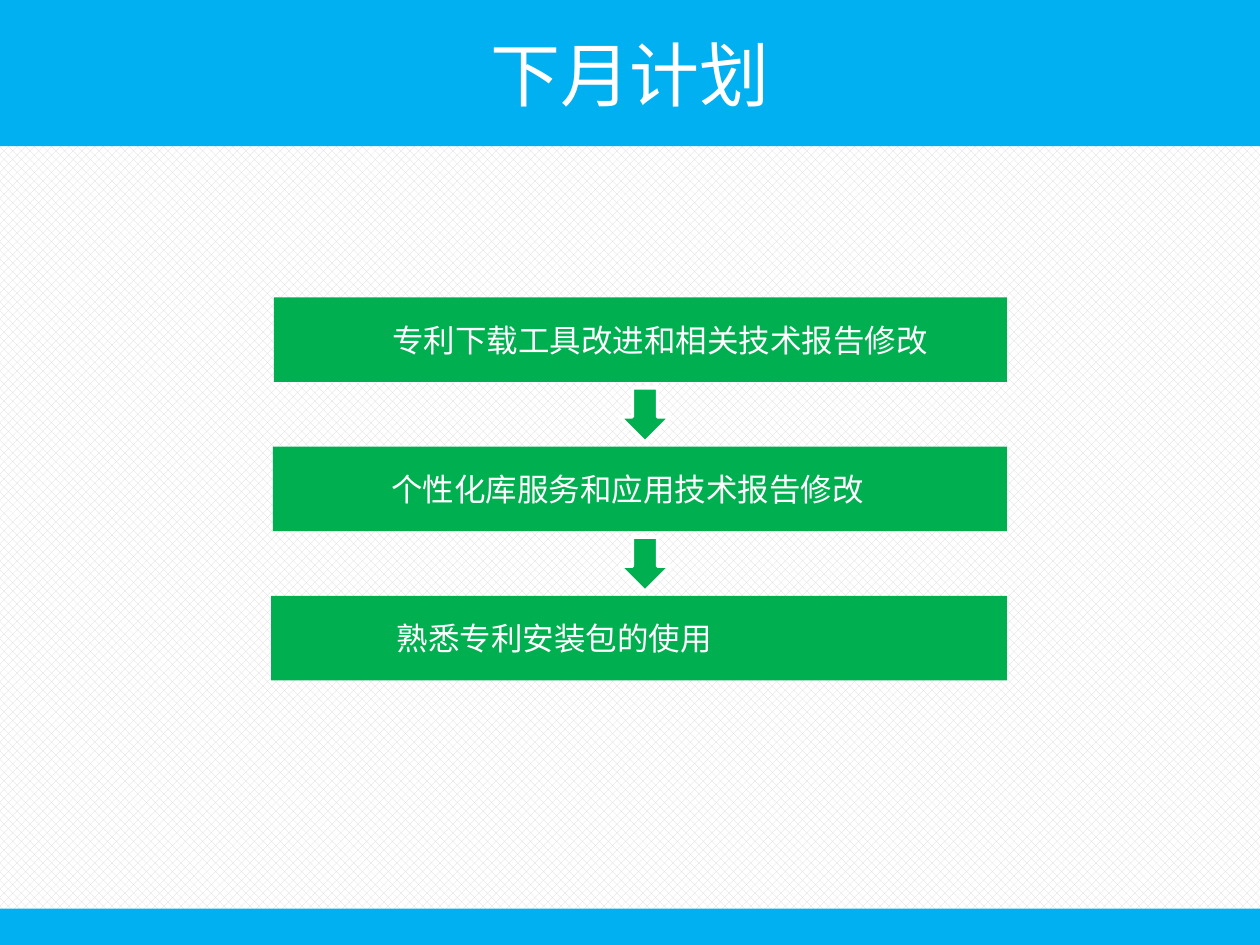
from lxml import etree
from pptx import Presentation
from pptx.dml.color import RGBColor
from pptx.enum.dml import MSO_PATTERN
from pptx.enum.shapes import MSO_SHAPE
from pptx.enum.text import MSO_ANCHOR, PP_ALIGN
from pptx.oxml.ns import qn
from pptx.util import Pt

RECTANGLE = MSO_SHAPE.RECTANGLE
DOWN_ARROW = MSO_SHAPE.DOWN_ARROW
MIDDLE = MSO_ANCHOR.MIDDLE
LEFT, CENTER = PP_ALIGN.LEFT, PP_ALIGN.CENTER
PERCENT_50 = MSO_PATTERN.PERCENT_50

COLORS = {"blue": "00B0F0", "green": "00B050", "white": "FFFFFF", "hatch": "D9D9D9"}
TITLE_FORMAT = {"name": "Noto Sans CJK JP", "size": Pt(40)}
STEP_FORMAT = {"name": "Noto Sans CJK SC", "size": Pt(18)}

SLIDE_WIDTH, SLIDE_HEIGHT = 720, 540
TITLE_HEIGHT, FOOTER_HEIGHT = 83.5, 20.8
STEP_TOP, STEP_PITCH, STEP_HEIGHT, STEP_RIGHT = 169.9, 85.3, 48.3, 575.4
ARROW_LEFT, ARROW_OFFSET, ARROW_WIDTH, ARROW_HEIGHT = 354.2, 51.7, 28.8, 31
STEPS = [
    ("专利下载工具改进和相关技术报告修改", 156.5, 67.7),
    ("个性化库服务和应用技术报告修改", 156, 67.7),
    ("熟悉专利安装包的使用", 155, 71.7),
]


def color(name):
    return RGBColor.from_string(COLORS[name])


def set_background(slide):
    fill = slide.background.fill
    fill.patterned()
    fill.pattern = PERCENT_50
    fill.fore_color.rgb = color("hatch")
    fill.back_color.rgb = color("white")


def add_block(slide, kind, left, top, width, height, fill_name):
    shape = slide.shapes.add_shape(kind, Pt(left), Pt(top), Pt(width), Pt(height))
    shape.shadow.inherit = False
    shape.fill.solid()
    shape.fill.fore_color.rgb = color(fill_name)
    shape.line.fill.background()
    return shape


def write_text(shape, text, font_format, alignment, indent=7.2):
    frame = shape.text_frame
    frame.word_wrap = True
    frame.vertical_anchor = MIDDLE
    frame.margin_left = Pt(indent)
    paragraph = frame.paragraphs[0]
    paragraph.alignment = alignment
    run = paragraph.add_run()
    run.text = text
    for attribute, value in font_format.items():
        setattr(run.font, attribute, value)
    run.font.color.rgb = color("white")
    east_asian = etree.SubElement(run._r.get_or_add_rPr(), qn("a:ea"))
    east_asian.set("typeface", font_format["name"])


def add_arrow(slide, top):
    arrow = add_block(slide, DOWN_ARROW, ARROW_LEFT, top, ARROW_WIDTH, ARROW_HEIGHT, "green")
    arrow.line.color.rgb = color("white")
    arrow.line.width = Pt(2)


def main():
    presentation = Presentation()
    presentation.slide_width = Pt(SLIDE_WIDTH)
    presentation.slide_height = Pt(SLIDE_HEIGHT)
    slide = presentation.slides.add_slide(presentation.slide_layouts[6])
    set_background(slide)

    title = add_block(slide, RECTANGLE, 0, 0, SLIDE_WIDTH, TITLE_HEIGHT, "blue")
    write_text(title, "下月计划", TITLE_FORMAT, CENTER)
    add_block(slide, RECTANGLE, 0, SLIDE_HEIGHT - FOOTER_HEIGHT, SLIDE_WIDTH, FOOTER_HEIGHT, "blue")

    for index, (text, left, indent) in enumerate(STEPS):
        top = STEP_TOP + index * STEP_PITCH
        step = add_block(slide, RECTANGLE, left, top, STEP_RIGHT - left, STEP_HEIGHT, "green")
        write_text(step, text, STEP_FORMAT, LEFT, indent)
        if index < len(STEPS) - 1:
            add_arrow(slide, top + ARROW_OFFSET)

    presentation.save("out.pptx")


if __name__ == "__main__":
    main()
